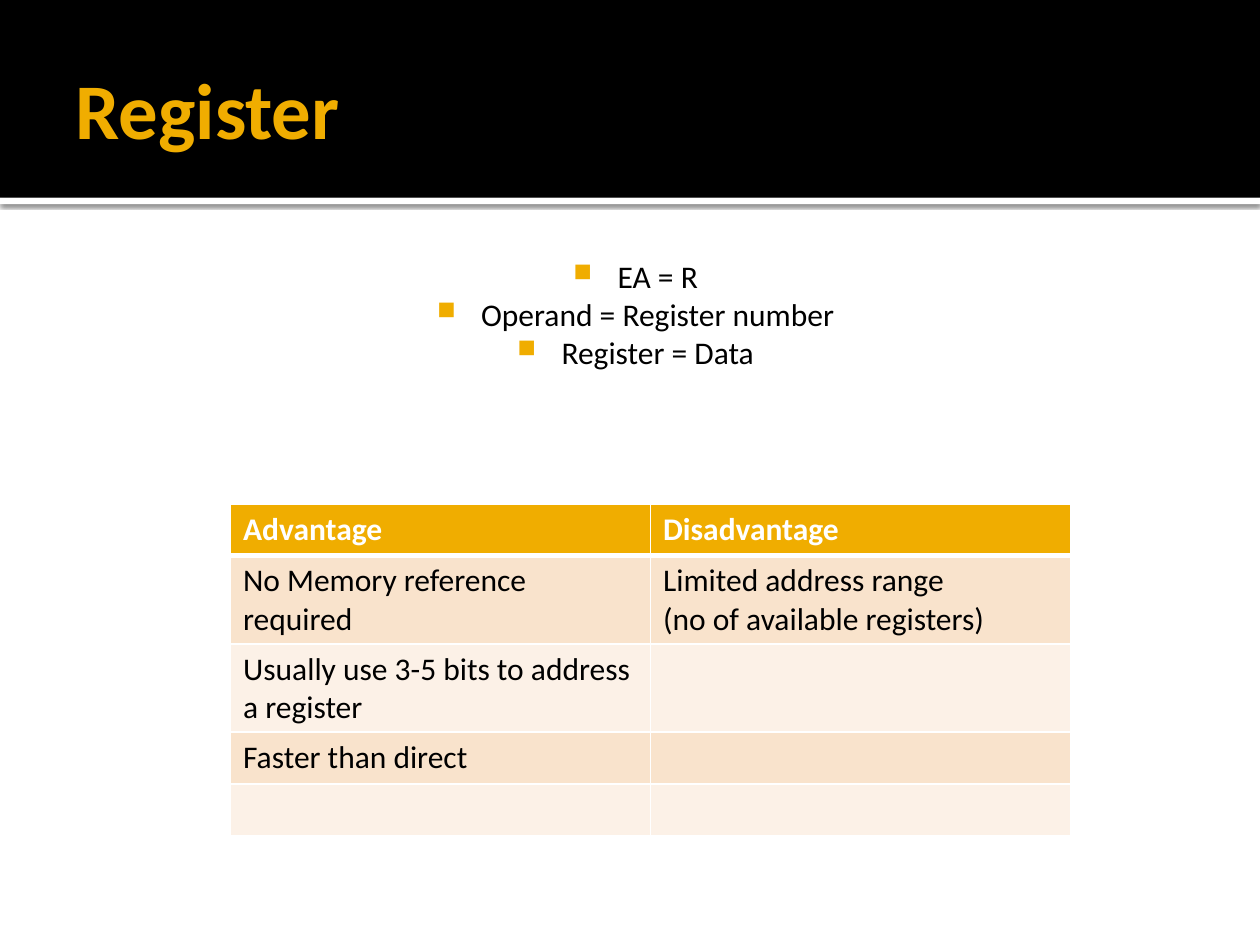
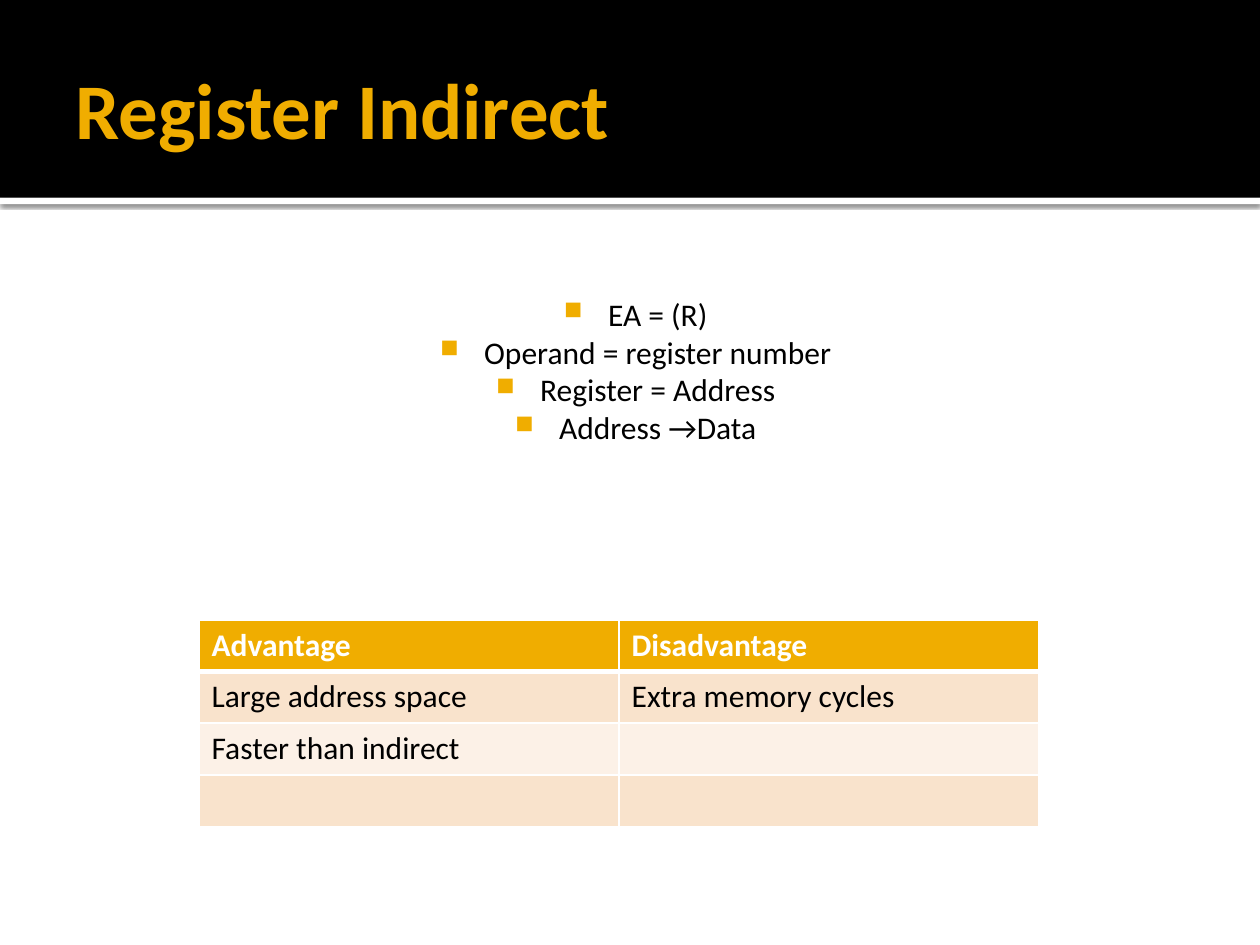
"""Build two slides on register addressing modes."""
from lxml import etree
from pptx import Presentation
from pptx.dml.color import RGBColor
from pptx.enum.shapes import MSO_SHAPE
from pptx.enum.text import MSO_ANCHOR, PP_ALIGN
from pptx.oxml.ns import qn
from pptx.util import Inches, Pt

RECTANGLE = MSO_SHAPE.RECTANGLE
MIDDLE, TOP = MSO_ANCHOR.MIDDLE, MSO_ANCHOR.TOP
LEFT, CENTER = PP_ALIGN.LEFT, PP_ALIGN.CENTER

BLACK = RGBColor(0x00, 0x00, 0x00)
WHITE = RGBColor(0xFF, 0xFF, 0xFF)
GOLD = RGBColor(0xF0, 0xAD, 0x00)
ROW_FILLS = (RGBColor(0xF9, 0xE3, 0xCC), RGBColor(0xFC, 0xF1, 0xE7))

HEADER = ("Advantage", "Disadvantage")
SLIDES = [
    {
        "title": "Register",
        "points": ["EA = R", "Operand = Register number", "Register = Data"],
        "points_top": 1.94,
        "table_at": (1.83, 4),
        "rows": [
            ("No Memory reference required",
             "Limited address range\n(no of available registers)"),
            ("Usually use 3-5 bits to address a register", ""),
            ("Faster than direct", ""),
            ("", ""),
        ],
    },
    {
        "title": "Register Indirect",
        "points": ["EA = (R)", "Operand = register number",
                   "Register = Address", "Address →Data"],
        "points_top": 2.24,
        "table_at": (1.58, 4.92),
        "rows": [
            ("Large address space", "Extra memory cycles"),
            ("Faster than indirect", ""),
            ("", ""),
        ],
    },
]

WIDTH, HEIGHT = 10, 7.5
MARGIN = 0.05 * WIDTH
CONTENT_WIDTH = WIDTH - 2 * MARGIN
CONTENT_BOTTOM = 7
BAND_HEIGHT, STRIPE_HEIGHT = 1.57, 0.05
TABLE_WIDTH, ROW_HEIGHT = WIDTH * 2 / 3, 0.41
THIN, THICK = 1, 3

TITLE_FONT = {"name": "Calibri", "size": Pt(45), "bold": True}
BODY_FONT = {"name": "Calibri", "size": Pt(18), "bold": False}
HEADER_FONT = BODY_FONT | {"bold": True}


def inches(*lengths):
    return [Inches(length) for length in lengths]


def add_element(parent, tag, **attributes):
    return etree.SubElement(parent, qn(tag), {k: str(v) for k, v in attributes.items()})


def style_font(paragraph, style, color):
    for name, value in style.items():
        setattr(paragraph.font, name, value)
    paragraph.font.color.rgb = color


def set_frame(frame, anchor, insets):
    frame.word_wrap = True
    frame.vertical_anchor = anchor
    for side, inset in zip(("left", "top", "right", "bottom"), insets):
        setattr(frame, f"margin_{side}", Inches(inset))


def add_bar(page, top, height, color):
    bar = page.shapes.add_shape(RECTANGLE, *inches(0, top, WIDTH, height))
    bar.shadow.inherit = False
    bar.fill.solid()
    bar.fill.fore_color.rgb = color
    bar.line.fill.background()
    return bar


def add_bands(page):
    stripe = add_bar(page, BAND_HEIGHT, STRIPE_HEIGHT, WHITE)
    effects = stripe._element.spPr.find(qn("a:effectLst"))
    shadow = add_element(effects, "a:outerShdw", blurRad=Pt(2.5), dist=Pt(0.8),
                         dir=90 * 60000, algn="tl", rotWithShape=0)
    tint = add_element(shadow, "a:srgbClr", val=BLACK)
    add_element(tint, "a:alpha", val=60000)
    add_bar(page, 0, BAND_HEIGHT, BLACK)


def set_title(page, text):
    title = page.shapes.title
    title.left, title.top, title.width, title.height = inches(
        MARGIN, 0.17, CONTENT_WIDTH, 1.37)
    title.text_frame.text = text
    set_frame(title.text_frame, MIDDLE, (0.1, 0.05, 0.05, 0.05))
    paragraph = title.text_frame.paragraphs[0]
    paragraph.alignment = LEFT
    style_font(paragraph, TITLE_FONT, GOLD)
    page.shapes._spTree.append(title._element)


def add_points(page, points, top):
    box = page.shapes.add_textbox(
        *inches(MARGIN, top, CONTENT_WIDTH, CONTENT_BOTTOM - top))
    frame = box.text_frame
    set_frame(frame, TOP, (0.06, 0.1, 0.1, 0.05))
    frame.text = "\n".join(points)
    for paragraph in frame.paragraphs:
        paragraph.alignment = CENTER
        properties = paragraph._p.get_or_add_pPr()
        properties.set("marL", str(Inches(0.48)))
        properties.set("indent", str(Inches(-0.35)))
        add_element(add_element(properties, "a:buClr"), "a:srgbClr", val=GOLD)
        add_element(properties, "a:buSzPct", val=80000)
        add_element(properties, "a:buChar", char="■")
        style_font(paragraph, BODY_FONT, BLACK)


def set_borders(cell, widths):
    properties = cell._tc.get_or_add_tcPr()
    for side, width in zip("LRTB", widths):
        line = add_element(properties, f"a:ln{side}", w=Pt(width))
        add_element(add_element(line, "a:solidFill"), "a:srgbClr", val=WHITE)


def add_comparison(page, rows, position):
    grid = [HEADER, *rows]
    table = page.shapes.add_table(
        len(grid), len(HEADER),
        *inches(*position, TABLE_WIDTH, ROW_HEIGHT * len(grid))).table
    for row, texts in enumerate(grid):
        is_header = row == 0
        fill = GOLD if is_header else ROW_FILLS[(row - 1) % 2]
        font, color = (HEADER_FONT, WHITE) if is_header else (BODY_FONT, BLACK)
        top = THICK if row == 1 else THIN
        bottom = THICK if is_header else THIN
        for column, text in enumerate(texts):
            cell = table.cell(row, column)
            set_borders(cell, (THIN, THIN, top, bottom))
            cell.fill.solid()
            cell.fill.fore_color.rgb = fill
            cell.text = text
            for paragraph in cell.text_frame.paragraphs:
                style_font(paragraph, font, color)


def main():
    deck = Presentation()
    deck.slide_width, deck.slide_height = inches(WIDTH, HEIGHT)
    title_only = deck.slide_layouts[5]
    for content in SLIDES:
        page = deck.slides.add_slide(title_only)
        add_bands(page)
        set_title(page, content["title"])
        add_points(page, content["points"], content["points_top"])
        add_comparison(page, content["rows"], content["table_at"])
    deck.save("out.pptx")


if __name__ == "__main__":
    main()
